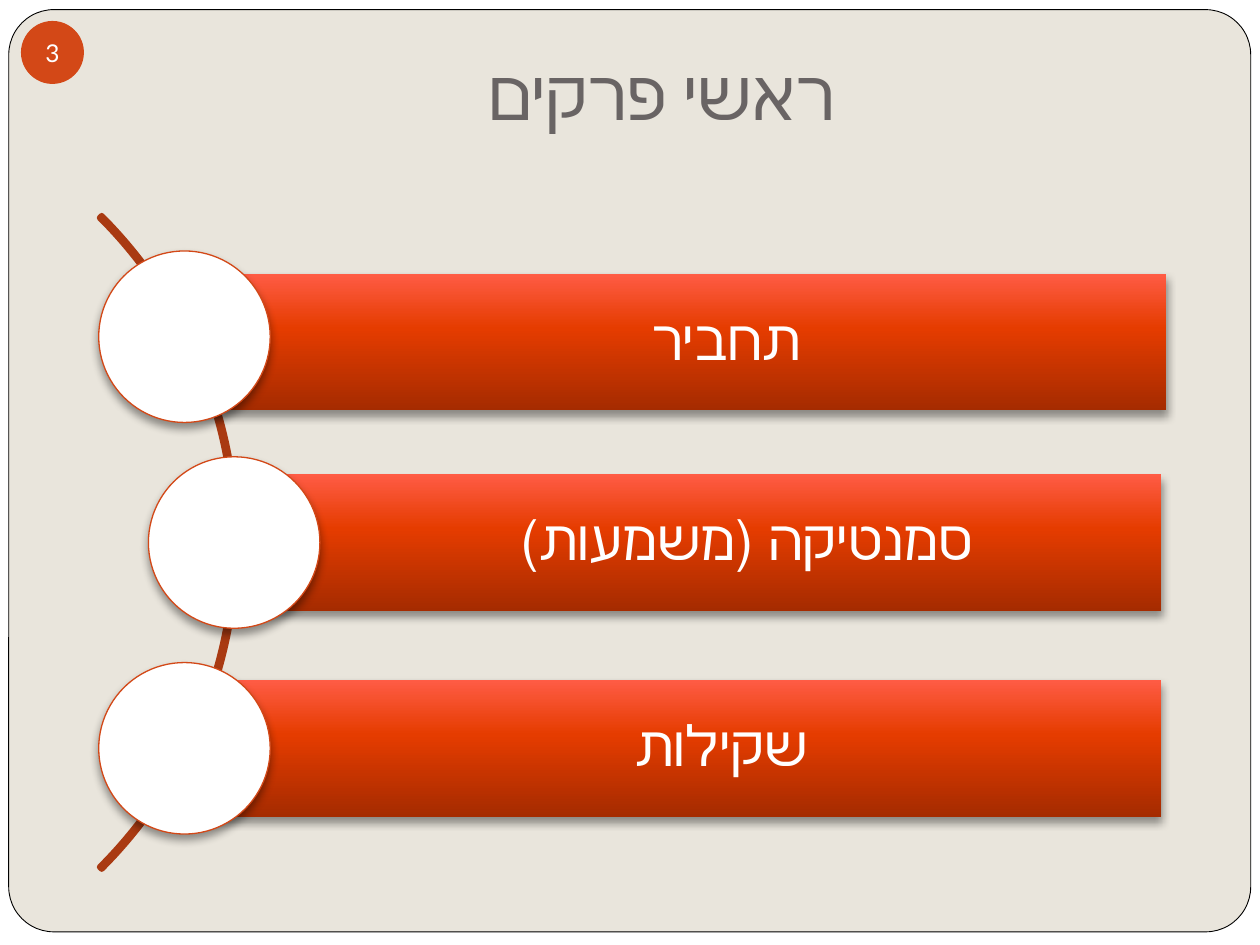
from pptx import Presentation
from pptx.dml.color import RGBColor
from pptx.enum.lang import MSO_LANGUAGE_ID
from pptx.enum.shapes import MSO_SHAPE
from pptx.enum.text import MSO_ANCHOR, MSO_AUTO_SIZE, PP_ALIGN
from pptx.oxml import parse_xml
from pptx.oxml.ns import qn
from pptx.util import Pt

RECT, ROUND, OVAL, ARC = (MSO_SHAPE.RECTANGLE, MSO_SHAPE.ROUNDED_RECTANGLE,
                          MSO_SHAPE.OVAL, MSO_SHAPE.BLOCK_ARC)
MIDDLE, BOTTOM, CENTER = MSO_ANCHOR.MIDDLE, MSO_ANCHOR.BOTTOM, PP_ALIGN.CENTER
HEBREW = MSO_LANGUAGE_ID.HEBREW
FONT = "Lato"
NS = 'xmlns:a="http://schemas.openxmlformats.org/drawingml/2006/main"'

TITLE = "ראשי פרקים"
NUMBER = "3"
# text, bar left, bar top, bar width, circle left
TOPICS = [
    ("תחביר", 108.3, 156.3, 558, 56.4),
    ("סמנטיקה (משמעות)", 133.9, 270.9, 529.7, 84.8),
    ("שקילות", 105.4, 388.5, 558, 56.4),
]
GRADIENT = [(0, "A52B00"), (60, "E53C00"), (100, "FF5C45")]
BAR_HEIGHT, CIRCLE_SIZE, CIRCLE_TOP, CIRCLE_STEP = 78.2, 98, 143.4, 117.6


def rgb(value):
    """Turn a hex string into a colour."""
    return RGBColor.from_string(value)


def add_shape(s, kind, box, fill=None, line=None, width=0.75):
    """Add a preset shape without shadow at a box given in points."""
    sp = s.shapes.add_shape(kind, *map(Pt, box))
    sp.shadow.inherit = False
    if fill:
        sp.fill.solid()
        sp.fill.fore_color.rgb = rgb(fill)
    else:
        sp.fill.background()
    if line:
        sp.line.color.rgb = rgb(line)
        sp.line.width = Pt(width)
    else:
        sp.line.fill.background()
    return sp


def add_shadow(sp):
    """Give a shape a soft shadow straight below it."""
    effects = sp._element.spPr.find(qn("a:effectLst"))
    effects.append(parse_xml(
        f'<a:outerShdw {NS} blurRad="{Pt(5.2)}" dist="{Pt(3)}" dir="5400000" rotWithShape="0">'
        '<a:srgbClr val="000000"><a:alpha val="40000"/></a:srgbClr></a:outerShdw>'))


def set_gradient(sp):
    """Fill a shape with the bar gradient, rising from the bottom."""
    stops = "".join(f'<a:gs pos="{pos * 1000}"><a:srgbClr val="{color}"/></a:gs>'
                    for pos, color in GRADIENT)
    spPr = sp._element.spPr
    spPr.replace(spPr.find(qn("a:noFill")), parse_xml(
        f'<a:gradFill {NS} rotWithShape="1"><a:gsLst>{stops}</a:gsLst>'
        '<a:lin ang="16200000" scaled="0"/></a:gradFill>'))


def set_text(sp, text, size, color, insets, anchor=MIDDLE, rtl=True, spacing=1.0, wrap=True):
    """Write one centred paragraph into a shape."""
    tf = sp.text_frame
    tf.auto_size = MSO_AUTO_SIZE.NONE
    tf.word_wrap = wrap
    tf.vertical_anchor = anchor
    tf.margin_left, tf.margin_top, tf.margin_right, tf.margin_bottom = map(Pt, insets)
    p = tf.paragraphs[0]
    p.alignment = CENTER
    p.line_spacing = spacing
    r = p.add_run()
    r.text = text
    r.font.size = Pt(size)
    r.font.name = FONT
    r.font.color.rgb = rgb(color)
    if rtl:
        p._p.get_or_add_pPr().set("rtl", "1")
        r.font.language_id = HEBREW


def main():
    """Build the slide and save it."""
    prs = Presentation()
    prs.slide_width, prs.slide_height = Pt(720), Pt(540)
    s = prs.slides.add_slide(prs.slide_layouts[5])
    s.background.fill.solid()
    s.background.fill.fore_color.rgb = rgb("E9E5DC")

    add_shape(s, RECT, (0, 0, 720, 540), "FFFFFF")
    frame = add_shape(s, ROUND, (5, 5.5, 709.7, 527), "E9E5DC", "000000", 0.5)
    frame.adjustments[0] = 0.049

    title = s.shapes.title
    title.left, title.top, title.width, title.height = map(Pt, (72, -6, 612, 90))
    set_text(title, TITLE, 40, "696464", (7.2, 3.6, 7.2, 7.2), BOTTOM)
    s.shapes._spTree.append(title._element)

    badge = add_shape(s, OVAL, (12, 12, 36, 36), "D34817")
    set_text(badge, NUMBER, 14, "FFFFFF", (0, 0, 0, 0), rtl=False, wrap=False)

    arc = add_shape(s, ARC, (-392.4, 46.1, 527.8, 527.8), None, "A93A12", 3.35)
    for i, value in enumerate((189, 27, 0.003)):
        arc.adjustments[i] = value

    for i, (text, left, top, width, circle_left) in enumerate(TOPICS):
        bar = add_shape(s, RECT, (left, top, width, BAR_HEIGHT))
        set_gradient(bar)
        add_shadow(bar)
        set_text(bar, text, 32, "FFFFFF", (62, 6.4, 6.4, 6.4), spacing=0.9)
        circle_top = CIRCLE_TOP + i * CIRCLE_STEP
        circle = add_shape(s, OVAL, (circle_left, circle_top, CIRCLE_SIZE, CIRCLE_SIZE),
                           "FFFFFF", "D34817")
        add_shadow(circle)

    prs.save("out.pptx")


if __name__ == "__main__":
    main()
